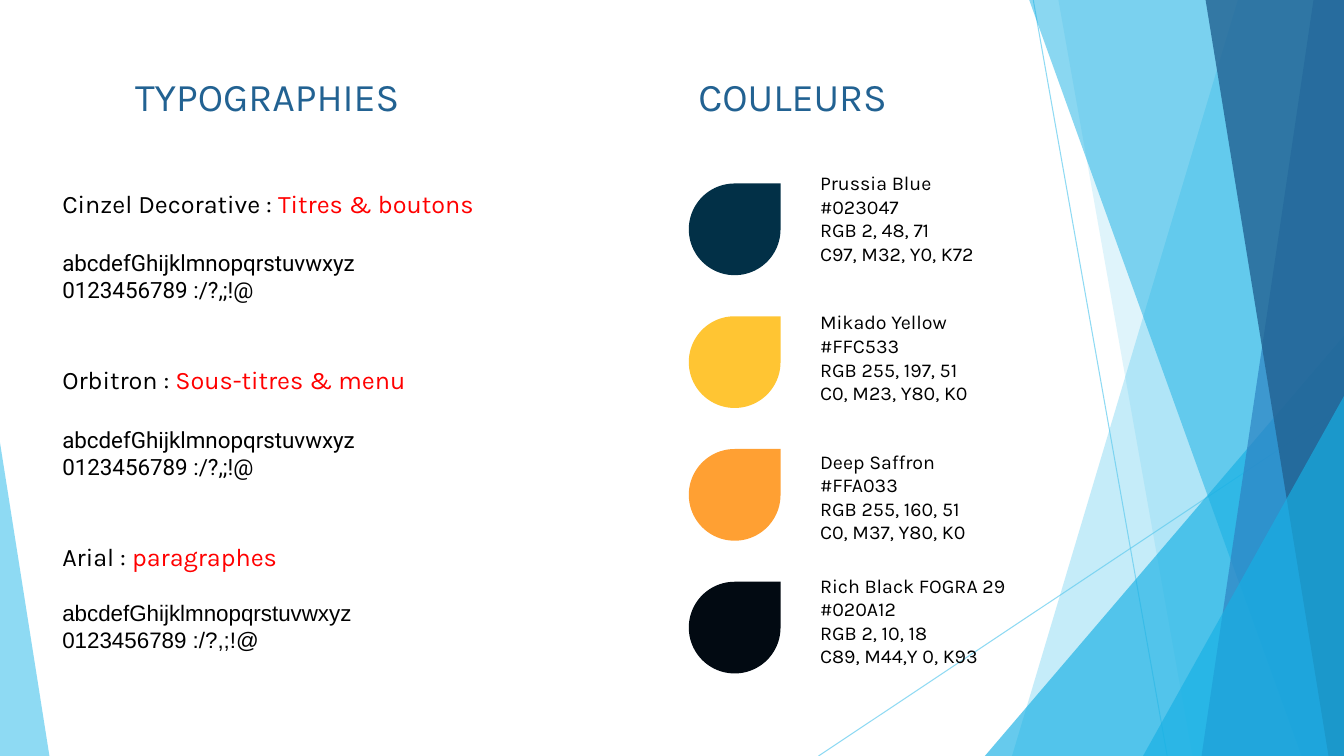
from dataclasses import dataclass

from lxml.etree import SubElement
from pptx import Presentation
from pptx.dml.color import RGBColor
from pptx.enum.shapes import MSO_CONNECTOR, MSO_SHAPE
from pptx.enum.text import MSO_ANCHOR, MSO_AUTO_SIZE, PP_ALIGN
from pptx.oxml.ns import qn
from pptx.util import Inches, Pt


@dataclass(frozen=True)
class Theme:
    heading: str = "226292"
    text: str = "000000"
    accent: str = "FF0000"
    sky: str = "5FCBEF"
    cyan: str = "17B0E4"
    blue: str = "2E83C3"
    navy: str = "226292"
    font: str = "Karla"
    heading_size: int = 28
    label_size: int = 18
    sample_size: int = 16
    caption_size: int = 14


THEME = Theme()


@dataclass(frozen=True)
class Box:
    left: int
    top: int
    width: int
    height: int

    def point(self, column, row):
        """Position of a point given in percent of this box."""
        return (self.left + round(self.width * column / 100),
                self.top + round(self.height * row / 100))

    def area(self, column, row, columns, rows):
        """Smaller box given in percent of this one."""
        return Box(*self.point(column, row), round(self.width * columns / 100),
                   round(self.height * rows / 100))

    def bounds(self):
        return self.left, self.top, self.width, self.height


# Left edge at the top and at the bottom, colour, opacity
BACK_BLADES = [(92.1, 75.3, THEME.sky, 36), (78.75, 88.73, THEME.sky, 20)]
FRONT_BLADES = [
    (76.58, 96.83, THEME.cyan, 50),
    (97.73, 89.4, THEME.blue, 70),
    (89.7, 98.85, THEME.navy, 80),
]

# Label, use, sample font, space before the sample
LETTERS = ["abcdefGhijklmnopqrstuvwxyz", "0123456789 :/?,;!@"]
TYPEFACES = [
    ("Cinzel Decorative : ", "Titres & boutons", "Roboto", 22),
    ("Orbitron : ", "Sous-titres & menu", "Roboto", 22),
    ("Arial : ", "paragraphes", "Arial", 20),
]
TYPEFACE_GAP = 44

# Name, colour, RGB, CMYK, row of the caption
SWATCHES = [
    ("Prussia Blue", "023047", "RGB 2, 48, 71", "C97, M32, Y0, K72", 22),
    ("Mikado Yellow", "FFC533", "RGB 255, 197, 51", "C0, M23, Y80, K0", 40.4),
    ("Deep Saffron", "FFA033", "RGB 255, 160, 51", "C0, M37, Y80, K0", 58.8),
    ("Rich Black FOGRA 29", "020A12", "RGB 2, 10, 18", "C89, M44,Y 0, K93", 75.2),
]


def set_opacity(properties, percent):
    colour = next(properties.iter(qn("a:srgbClr")))
    SubElement(colour, qn("a:alpha")).set("val", str(percent * 1000))


def paint(shape, colour, opacity=100):
    shape.shadow.inherit = False
    shape.fill.solid()
    shape.fill.fore_color.rgb = RGBColor.from_string(colour)
    if opacity < 100:
        set_opacity(shape._element.spPr, opacity)
    shape.line.fill.background()


def add_run(paragraph, text, size, colour=THEME.text, font=THEME.font):
    run = paragraph.add_run()
    run.text = text
    run.font.name = font
    run.font.size = Pt(size)
    run.font.color.rgb = RGBColor.from_string(colour)


def paragraphs_of(frame):
    """Yield the first paragraph of a frame, then new ones."""
    yield frame.paragraphs[0]
    while True:
        yield frame.add_paragraph()


def add_text_frame(slide, box, wrap=True):
    frame = slide.shapes.add_textbox(*box.bounds()).text_frame
    frame.word_wrap = wrap
    frame.auto_size = MSO_AUTO_SIZE.SHAPE_TO_FIT_TEXT
    return frame


def draw_ray(slide, box, start, end):
    connector = slide.shapes.add_connector(
        MSO_CONNECTOR.STRAIGHT, *box.point(*start), *box.point(*end))
    connector.line.width = Pt(0.75)
    connector.line.color.rgb = RGBColor.from_string(THEME.sky)
    properties = connector._element.spPr
    set_opacity(properties, 70)
    SubElement(properties, qn("a:effectLst"))


def draw_blades(slide, box, blades):
    for top, bottom, colour, opacity in blades:
        outline = slide.shapes.build_freeform(*box.point(top, 0))
        outline.add_line_segments(
            [box.point(100, 0), box.point(100, 100), box.point(bottom, 100)])
        paint(outline.convert_to_shape(), colour, opacity)


def draw_triangle(slide, box, apex, colour, opacity):
    triangle = slide.shapes.add_shape(MSO_SHAPE.ISOSCELES_TRIANGLE, *box.bounds())
    triangle.adjustments[0] = apex
    paint(triangle, colour, opacity)


def draw_backdrop(slide, box):
    draw_ray(slide, box, (76.88, 0), (86.85, 100))
    draw_ray(slide, box, (100, 53.73), (60.9, 100))
    draw_blades(slide, box, BACK_BLADES)
    draw_triangle(slide, box.area(73.28, 44.4, 26.72, 55.6), 1, THEME.cyan, 66)
    draw_blades(slide, box, FRONT_BLADES)
    draw_triangle(slide, box.area(85.05, 52.4, 14.95, 47.6), 1, THEME.cyan, 66)
    draw_triangle(slide, box.area(0, 58.53, 3.68, 41.47), 0, THEME.sky, 70)


def add_typography_panel(slide, box):
    title = slide.shapes.title
    title.left, title.top, title.width, title.height = box.area(
        18.6, 8.93, 42.75, 7.6).bounds()
    title_frame = title.text_frame
    title_frame.word_wrap = False
    title_frame.auto_size = MSO_AUTO_SIZE.SHAPE_TO_FIT_TEXT
    title_frame.vertical_anchor = MSO_ANCHOR.TOP
    title_frame.paragraphs[0].alignment = PP_ALIGN.JUSTIFY
    add_run(title_frame.paragraphs[0], "TYPOGRAPHIES", THEME.heading_size, THEME.heading)

    frame = add_text_frame(slide, box.area(7.8, 24.27, 64.35, 66.93), wrap=False)
    paragraphs = paragraphs_of(frame)
    for index, (label, use, font, sample_gap) in enumerate(TYPEFACES):
        paragraph = next(paragraphs)
        paragraph.alignment = PP_ALIGN.JUSTIFY
        if index:
            paragraph.space_before = Pt(TYPEFACE_GAP)
        add_run(paragraph, label, THEME.label_size)
        add_run(paragraph, use, THEME.label_size, THEME.accent)
        for line, gap in zip(LETTERS, (sample_gap, 0)):
            paragraph = next(paragraphs)
            paragraph.space_before = Pt(gap)
            add_run(paragraph, line, THEME.sample_size, font=font)


def add_colour_panel(slide, box):
    heading = add_text_frame(slide, box.area(2.46, 8.93, 41.7, 7.6))
    add_run(heading.paragraphs[0], "COULEURS", THEME.heading_size, THEME.heading)
    for index, (name, colour, rgb, cmyk, caption_row) in enumerate(SWATCHES):
        drop_box = box.area(2.5, 24.27 + 17.56 * index, 13.65, 12.13)
        paint(slide.shapes.add_shape(MSO_SHAPE.TEAR, *drop_box.bounds()), colour)
        caption = add_text_frame(slide, box.area(20.55, caption_row, 35.4, 13.87))
        for line, paragraph in zip((name, f"#{colour}", rgb, cmyk), paragraphs_of(caption)):
            add_run(paragraph, line, THEME.caption_size)


def main():
    presentation = Presentation()
    presentation.slide_width = Inches(13.33)
    presentation.slide_height = Inches(7.5)
    slide = presentation.slides.add_slide(presentation.slide_layouts.get_by_name("Title Only"))
    page = Box(0, 0, presentation.slide_width, presentation.slide_height)
    draw_backdrop(slide, page)
    add_typography_panel(slide, page.area(0, 0, 50, 100))
    add_colour_panel(slide, page.area(50, 0, 50, 100))
    presentation.save("out.pptx")


if __name__ == "__main__":
    main()
